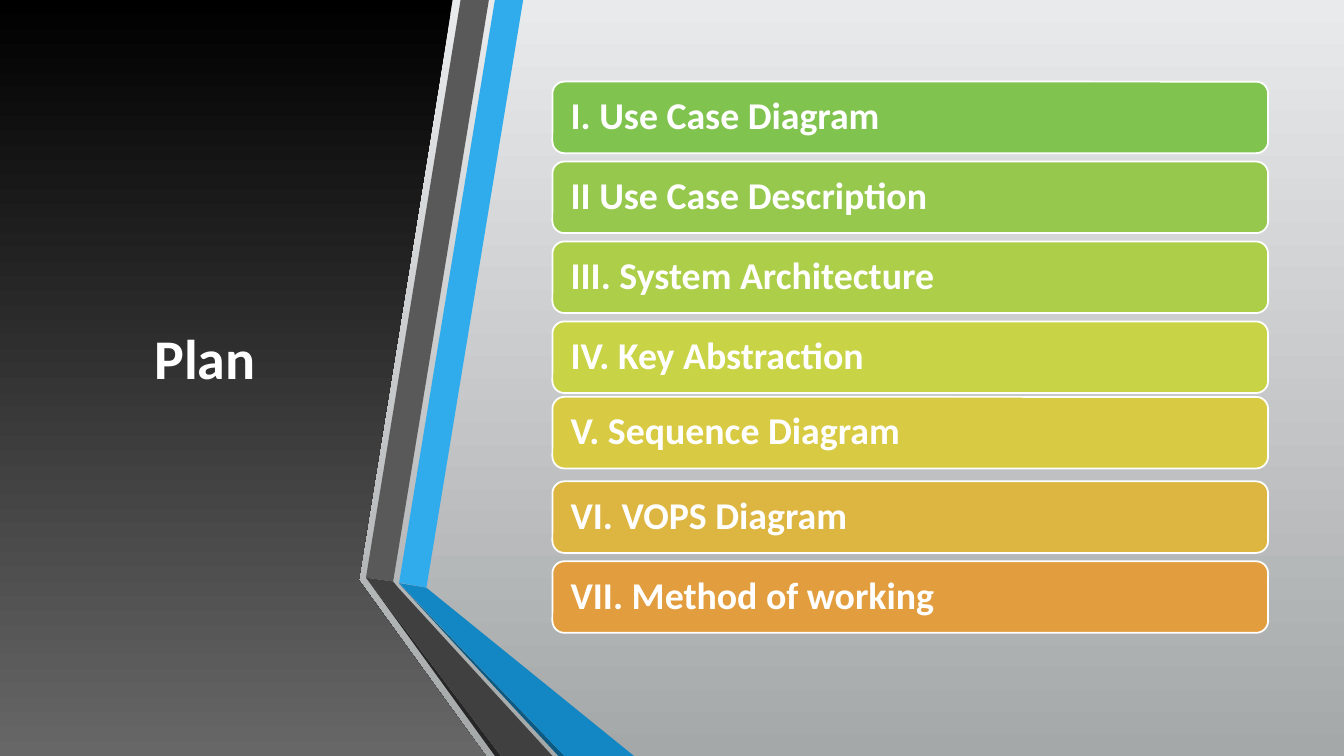
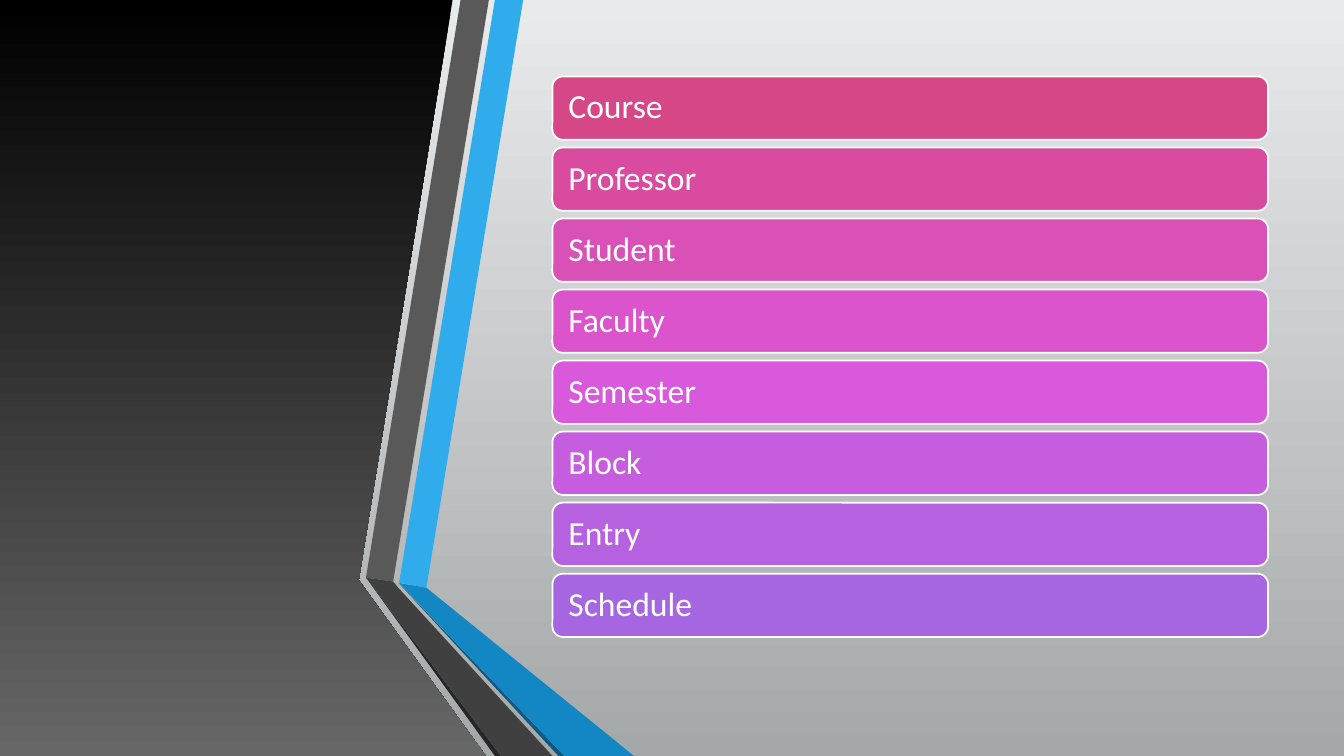
"""Build two slides with a shared ribbon backdrop and stacked list bars."""
from dataclasses import dataclass

import pptx
import pptx.dml.color
import pptx.dml.fill
import pptx.enum.shapes
import pptx.enum.text
import pptx.presentation
import pptx.shapes.autoshape
import pptx.shapes.base
import pptx.slide
import pptx.util

Pt = pptx.util.Pt
RGB = pptx.dml.color.RGBColor
Align = pptx.enum.text.PP_ALIGN
Point = tuple[float, float]

FONT = "Calibri"
WHITE = RGB(0xFF, 0xFF, 0xFF)
BLACK = RGB(0x00, 0x00, 0x00)
SMOKE = RGB(0x67, 0x67, 0x67)
LIGHT = RGB(0xE9, 0xEA, 0xEB)
SILVER = RGB(0xA5, 0xA8, 0xA9)
SKY = RGB(0x30, 0xAC, 0xEC)
BLUE = RGB(0x12, 0x87, 0xC3)
NAVY = RGB(0x0C, 0x5A, 0x82)
GREY = RGB(0x59, 0x59, 0x59)
DARK = RGB(0x40, 0x40, 0x40)
COAL = RGB(0x26, 0x26, 0x26)
GREEN = RGB(0x80, 0xC3, 0x4F)
LEAF = RGB(0x95, 0xC8, 0x4C)
LIME = RGB(0xAD, 0xCE, 0x49)
LEMON = RGB(0xC8, 0xD3, 0x46)
GOLD = RGB(0xD8, 0xCB, 0x43)
AMBER = RGB(0xDD, 0xB5, 0x41)
ORANGE = RGB(0xE2, 0x9D, 0x3E)
ROSE = RGB(0xD6, 0x47, 0x87)
PINK = RGB(0xD8, 0x4B, 0x9F)
FUCHSIA = RGB(0xD9, 0x50, 0xB6)
ORCHID = RGB(0xDB, 0x54, 0xCC)
MAUVE = RGB(0xD8, 0x59, 0xDC)
VIOLET = RGB(0xC6, 0x5D, 0xDE)
PURPLE = RGB(0xB6, 0x61, 0xE0)
LILAC = RGB(0xA6, 0x66, 0xE1)

WIDTH, HEIGHT = 960, 540
BAR_LEFT, BAR_WIDTH = 394.6, 511.2


@dataclass(frozen=True)
class Band:
    """A filled outline of the backdrop."""

    fill: RGB
    points: list[Point]


@dataclass(frozen=True)
class Bar:
    """One list entry, with an optional vertical shift."""

    text: str
    fill: RGB
    shift: float = 0


@dataclass(frozen=True)
class Stack:
    """The measures shared by a column of bars."""

    top: float
    pitch: float
    height: float
    inset: float
    size: float
    bold: bool
    bars: list[Bar]


PANEL = Band(BLACK, [(0, 0), (323.3, 0), (256.3, 414.4), (347, HEIGHT), (0, HEIGHT)])
BANDS = [
    Band(SKY, [(285.1, 416.2), (304.6, 419.8), (373.7, 0), (353.5, 0)]),
    Band(GREY, [(349.2, 0), (329, 0), (261.4, 412.6), (280.8, 415.4)]),
    Band(COAL, [(261.4, 412.6), (353.5, HEIGHT), (357.8, HEIGHT)]),
    Band(NAVY, [(285.1, 416.9), (398.9, HEIGHT), (403.2, HEIGHT)]),
    Band(BLUE, [(285.1, 416.5), (403.2, HEIGHT), (452.9, HEIGHT), (304.6, 419.8)]),
    Band(DARK, [(394.6, HEIGHT), (284.4, 419.8), (280.8, 415.4),
                (261.4, 412.6), (357.8, HEIGHT)]),
]
PLAN = Stack(58.3, 57.1, 51.1, 10.5, 27, True, [
    Bar("I. Use Case Diagram", GREEN),
    Bar("II Use Case Description", LEAF),
    Bar("III. System Architecture", LIME),
    Bar("IV. Key Abstraction", LEMON),
    Bar("V. Sequence Diagram", GOLD, -3.2),
    Bar("VI. VOPS Diagram", AMBER),
    Bar("VII. Method of working", ORANGE),
])
TERMS = Stack(54.6, 50.74, 45.2, 9.2, 24, False, [
    Bar("Course", ROSE),
    Bar("Professor", PINK),
    Bar("Student", FUCHSIA),
    Bar("Faculty", ORCHID),
    Bar("Semester", MAUVE),
    Bar("Block", VIOLET),
    Bar("Entry", PURPLE),
    Bar("Schedule", LILAC),
])


def shade(fill: pptx.dml.fill.FillFormat, top: RGB, base: RGB) -> None:
    """Apply a vertical gradient."""
    fill.gradient()
    fill.gradient_angle = 270
    for stop, color, place in zip(fill.gradient_stops, (top, base), (0, 1)):
        stop.color.rgb = color
        stop.position = place


def write(shape: pptx.shapes.base.BaseShape, text: str, *, size: float,
          bold: bool = False, align: Align = Align.LEFT,
          inset: float = 7.2, space: float = 1) -> None:
    """Set the text of a shape in the shared style."""
    frame = shape.text_frame
    frame.word_wrap = True
    frame.vertical_anchor = pptx.enum.text.MSO_ANCHOR.MIDDLE
    frame.margin_left = frame.margin_right = Pt(inset)
    frame.text = text
    para = frame.paragraphs[0]
    para.alignment = align
    para.line_spacing = space
    font = para.runs[0].font
    font.name, font.size, font.bold = FONT, Pt(size), bold
    font.color.rgb = WHITE


def outline(slide: pptx.slide.Slide, band: Band) -> pptx.shapes.autoshape.Shape:
    """Draw a band as a closed freeform."""
    start, *rest = [(Pt(x), Pt(y)) for x, y in band.points]
    pen = slide.shapes.build_freeform(*start)
    pen.add_line_segments(rest, close=True)
    shape = pen.convert_to_shape()
    shape.shadow.inherit = False
    shape.fill.solid()
    shape.fill.fore_color.rgb = band.fill
    shape.line.fill.background()
    return shape


def backdrop(deck: pptx.presentation.Presentation, slide: pptx.slide.Slide) -> None:
    """Place the panel and ribbons on the master, behind every slide."""
    master = deck.slide_master
    shade(master.background.fill, LIGHT, SILVER)
    panel = outline(slide, PANEL)
    shade(panel.fill, BLACK, SMOKE)
    for shape in [panel, *(outline(slide, band) for band in BANDS)]:
        master.shapes.element.append(shape.element)


def column(slide: pptx.slide.Slide, stack: Stack) -> None:
    """Draw a column of rounded bars."""
    kind = pptx.enum.shapes.MSO_SHAPE.ROUNDED_RECTANGLE
    for row, bar in enumerate(stack.bars):
        top = stack.top + row * stack.pitch + bar.shift
        shape = slide.shapes.add_shape(
            kind, Pt(BAR_LEFT), Pt(top), Pt(BAR_WIDTH), Pt(stack.height))
        shape.shadow.inherit = False
        shape.fill.solid()
        shape.fill.fore_color.rgb = bar.fill
        shape.line.color.rgb = WHITE
        shape.line.width = Pt(1.25)
        write(shape, bar.text, size=stack.size, bold=stack.bold,
              inset=stack.inset, space=0.9)


def main() -> None:
    """Build and save the deck."""
    deck = pptx.Presentation()
    deck.slide_width, deck.slide_height = Pt(WIDTH), Pt(HEIGHT)
    plan = deck.slides.add_slide(deck.slide_layouts.get_by_name("Title Only"))
    terms = deck.slides.add_slide(deck.slide_layouts.get_by_name("Blank"))
    backdrop(deck, plan)
    title = plan.shapes.title
    title.left, title.top = Pt(42.5), Pt(54)
    title.width, title.height = Pt(208), Pt(401.8)
    write(title, "Plan", size=40, bold=True, align=Align.CENTER)
    column(plan, PLAN)
    column(terms, TERMS)
    deck.save("out.pptx")


if __name__ == "__main__":
    main()
